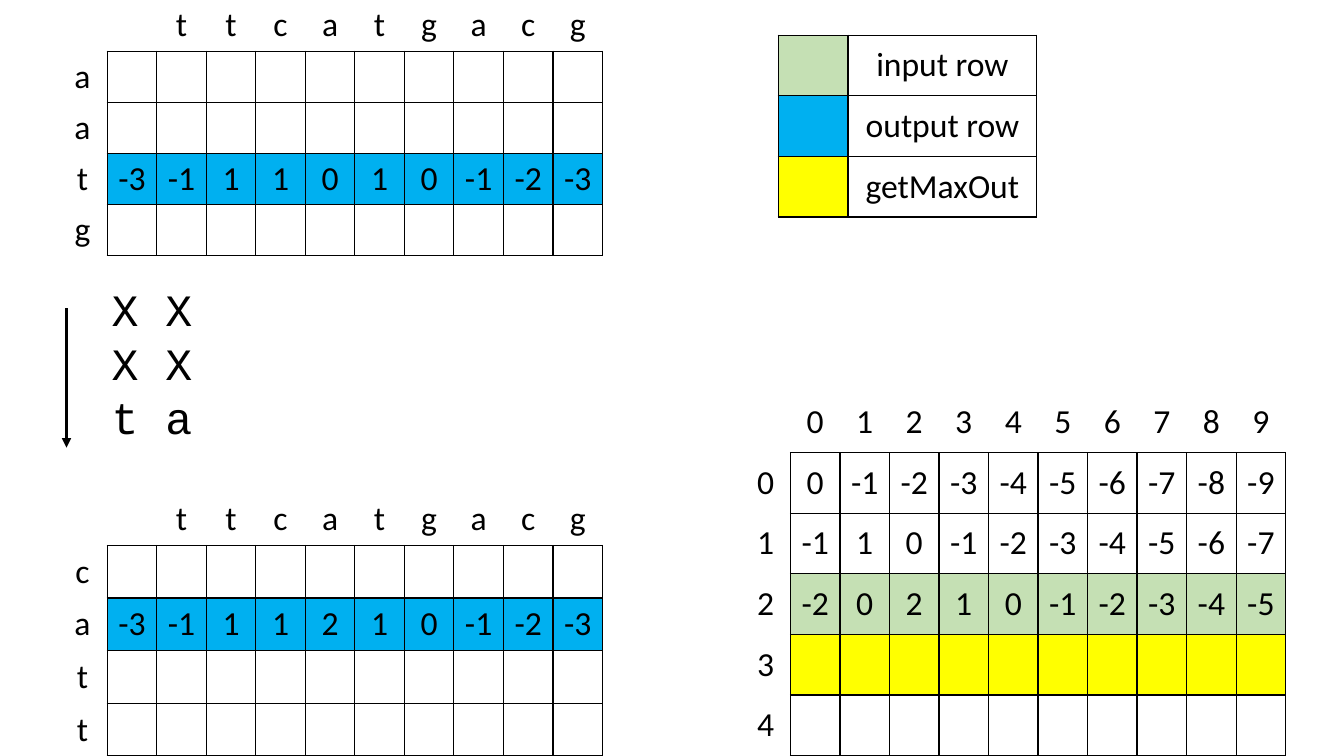
from dataclasses import dataclass
from typing import Optional

import pptx
import pptx.dml.color
import pptx.enum.dml
import pptx.enum.shapes
import pptx.enum.text
import pptx.oxml
import pptx.oxml.ns
import pptx.util
from lxml import etree

Pt = pptx.util.Pt
RGB = pptx.dml.color.RGBColor
qn = pptx.oxml.ns.qn

BLACK = RGB(0, 0, 0)
GREEN = RGB(0xC5, 0xE0, 0xB4)
BLUE = RGB(0, 0xB0, 0xF0)
YELLOW = RGB(0xFF, 0xFF, 0)
PLAIN = "{2D5ABB26-0587-4C30-8999-92F81FD0307C}"
CELL = 35.4


@dataclass(frozen=True)
class Row:
    label: str
    values: str = ""
    fill: Optional[RGB] = None


@dataclass(frozen=True)
class Grid:
    left: float
    top: float
    height: float
    heads: list[str]
    rows: list[Row]


@dataclass(frozen=True)
class Key:
    label: str
    fill: RGB


BASES = ["", *"ttcatgacg"]
GRIDS = [
    Grid(41.2, 0, 36, BASES, [
        Row("a"),
        Row("a"),
        Row("t", "-3 -1 1 1 0 1 0 -1 -2 -3", BLUE),
        Row("g"),
    ]),
    Grid(529.2, 280, 43.3, list("0123456789"), [
        Row("0", "0 -1 -2 -3 -4 -5 -6 -7 -8 -9"),
        Row("1", "-1 1 0 -1 -2 -3 -4 -5 -6 -7"),
        Row("2", "-2 0 2 1 0 -1 -2 -3 -4 -5", GREEN),
        Row("3", fill=YELLOW),
        Row("4"),
    ]),
    Grid(41.2, 352, 37.6, BASES, [
        Row("c"),
        Row("a", "-3 -1 1 1 2 1 0 -1 -2 -3", BLUE),
        Row("t"),
        Row("t"),
    ]),
]
KEYS = [Key("input row", GREEN), Key("output row", BLUE), Key("getMaxOut", YELLOW)]


def add_grid(slide, left: float, top: float, widths: list[float], height: float, count: int):
    frame = slide.shapes.add_table(
        count, len(widths), Pt(left), Pt(top), Pt(sum(widths)), Pt(height * count))
    for style in frame.element.iter(qn("a:tableStyleId")):
        style.text = PLAIN
    table = frame.table
    table.first_row = table.horz_banding = False
    for col, width in zip(table.columns, widths):
        col.width = Pt(width)
    for row in table.rows:
        row.height = Pt(height)
    return table


def add_edges(cell, sides: str) -> None:
    props = cell._tc.get_or_add_tcPr()
    for spot, side in enumerate(sides):
        line = etree.Element(qn(f"a:ln{side}"), w=str(Pt(1)))
        fill = etree.SubElement(line, qn("a:solidFill"))
        etree.SubElement(fill, qn("a:srgbClr"), val=str(BLACK))
        props.insert(spot, line)


def set_cell(cell, text: str, fill: Optional[RGB], sides: str) -> None:
    cell.vertical_anchor = pptx.enum.text.MSO_ANCHOR.MIDDLE
    if fill is None:
        cell.fill.background()
    else:
        cell.fill.solid()
        cell.fill.fore_color.rgb = fill
    add_edges(cell, sides)
    if text:
        cell.text_frame.text = text
        para = cell.text_frame.paragraphs[0]
        para.alignment = pptx.enum.text.PP_ALIGN.CENTER
        set_font(para.runs[0].font, "Calibri", 24)


def set_font(font, name: str, size: float) -> None:
    font.name = name
    font.size = Pt(size)
    font.color.rgb = BLACK


def draw_grid(slide, grid: Grid) -> None:
    wide = len(grid.heads)
    table = add_grid(slide, grid.left, grid.top, [CELL] * (wide + 1),
                     grid.height, len(grid.rows) + 1)
    set_cell(table.cell(0, 0), "", None, "")
    for col, head in enumerate(grid.heads, 1):
        set_cell(table.cell(0, col), head, None, "B")
    for line, row in enumerate(grid.rows, 1):
        set_cell(table.cell(line, 0), row.label, None, "R")
        values = row.values.split() or [""] * wide
        for col, value in enumerate(values, 1):
            set_cell(table.cell(line, col), value, row.fill, "LRTB")


def draw_keys(slide, keys: list[Key]) -> None:
    table = add_grid(slide, 555.8, 25.2, [50, 134.8], 43.3, len(keys))
    for line, key in enumerate(keys):
        set_cell(table.cell(line, 0), "", key.fill, "LRTB")
        set_cell(table.cell(line, 1), key.label, None, "LRTB")


def draw_match(slide) -> None:
    box = slide.shapes.add_textbox(Pt(72.7), Pt(198), Pt(396), Pt(124))
    frame = box.text_frame
    frame.word_wrap = True
    frame.auto_size = pptx.enum.text.MSO_AUTO_SIZE.SHAPE_TO_FIT_TEXT
    frame.text = "X X\nX X\nt a"
    for para in frame.paragraphs:
        set_font(para.runs[0].font, "Courier New", 32)


def draw_arrow(slide) -> None:
    arrow = slide.shapes.add_connector(
        pptx.enum.shapes.MSO_CONNECTOR.STRAIGHT, Pt(47.5), Pt(220.3), Pt(47.5), Pt(319.7))
    arrow.line.color.rgb = BLACK
    arrow.line.width = Pt(2.25)
    etree.SubElement(arrow.line._get_or_add_ln(), qn("a:tailEnd"), type="triangle")
    etree.SubElement(arrow.element.spPr, qn("a:effectLst"))


def main() -> None:
    deck = pptx.Presentation()
    deck.slide_width, deck.slide_height = Pt(960), Pt(540)
    slide = deck.slides.add_slide(deck.slide_layouts[6])
    for grid in GRIDS:
        draw_grid(slide, grid)
    draw_match(slide)
    draw_keys(slide, KEYS)
    draw_arrow(slide)
    deck.save("out.pptx")


if __name__ == "__main__":
    main()
